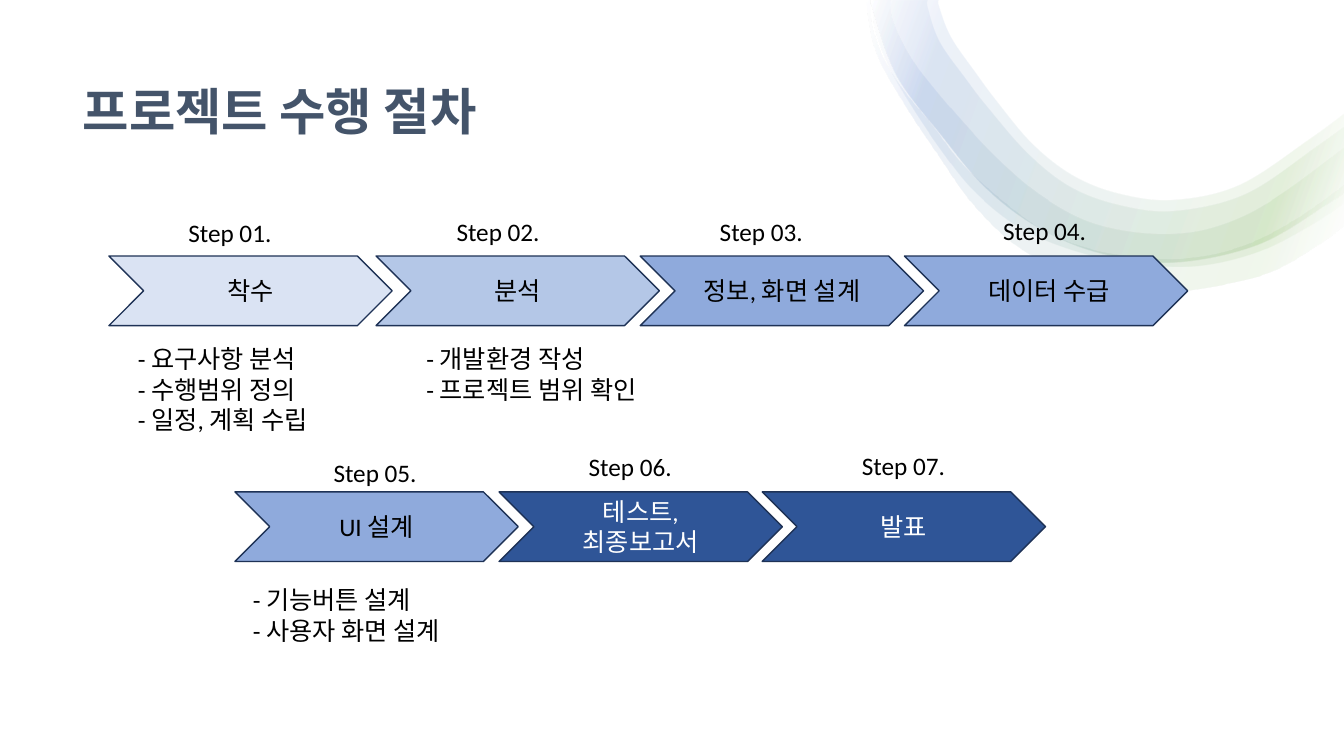
from lxml.etree import SubElement
from pptx import Presentation
from pptx.dml.color import RGBColor
from pptx.enum.shapes import MSO_SHAPE
from pptx.enum.text import MSO_ANCHOR, PP_ALIGN
from pptx.oxml.ns import qn
from pptx.util import Inches, Pt

FONT = "Calibri"
COLORS = {
    "title": "44546A", "black": "000000", "white": "FFFFFF", "edge": "1E3256",
    "pale": "DAE3F3", "light": "B4C7E7", "mid": "8FAADC", "deep": "2F5597",
    "green": "70AD47", "blue": "4472C4",
}
FADE = [(2, "white"), (16, "green"), (85, "blue"), (100, "white")]

# Step rows: top of the arrows, then text, fill, font colour,
# arrow left, label left and label top
ROWS = [
    (2.54, [
        ("착수", "pale", "black", 1.08, 1.77, 2.11),
        ("분석", "light", "black", 3.73, 4.43, 2.1),
        ("정보, 화면 설계", "mid", "black", 6.35, 7.04, 2.1),
        (" 데이터 수급", "mid", "black", 8.97, 9.85, 2.09),
    ]),
    (4.88, [
        ("UI 설계", "mid", "black", 2.33, 3.21, 4.49),
        ("테스트, 최종보고서", "deep", "white", 4.95, 5.74, 4.43),
        ("발표", "deep", "white", 7.56, 8.45, 4.42),
    ]),
]
NOTES = [
    ("- 요구사항 분석\n- 수행범위 정의\n- 일정, 계획 수립", 1.27, 3.36, 2.03, 1.01),
    ("- 개발환경 작성\n- 프로젝트 범위 확인", 4.13, 3.36, 2.47, 0.71),
    ("- 기능버튼 설계\n- 사용자 화면 설계", 2.41, 5.75, 2.22, 0.71),
]

# Each ribbon lies between an outer and an inner edge
CORE = [(8.65, 0), (8.65, 0.08), (8.89, 0.75), (9.34, 1.35), (9.78, 1.87),
        (10.3, 2.26), (10.91, 2.51), (11.64, 2.6), (12.48, 2.42),
        (13.19, 2), (13.33, 1.9)]
RIBBONS = [
    ([(8.6, 0), (8.61, 0.14), (8.71, 0.56), (8.99, 1.06), (9.31, 1.54),
      (9.65, 2.02), (10.09, 2.44), (10.65, 2.73), (11.27, 2.87), (11.7, 2.89),
      (12.53, 2.72), (13.08, 2.42), (13.33, 2.23)],
     [(8.64, 0), (8.66, 0.27), (8.78, 0.6), (8.97, 0.9), (9.25, 1.24),
      (9.61, 1.69), (10.25, 2.22), (10.76, 2.45), (11.3, 2.55), (11.86, 2.55),
      (12.39, 2.41), (12.88, 2.15), (13.33, 1.83)]),
    ([(8.65, 0), (8.67, 0.27), (8.8, 0.64), (9.01, 1.01), (9.31, 1.46),
      (9.66, 1.9), (10.13, 2.27), (10.69, 2.5), (11.27, 2.62), (11.87, 2.64),
      (12.47, 2.5), (13, 2.23), (13.33, 2.01)],
     [(8.83, 0), (8.85, 0.2), (9.01, 0.54), (9.24, 0.85), (9.6, 1.27),
      (9.96, 1.64), (10.35, 1.96), (10.8, 2.2), (11.31, 2.31), (11.83, 2.3),
      (12.31, 2.15), (12.75, 1.89), (13.33, 1.46)]),
    (CORE,
     [(9.2, 0), (9.2, 0.08), (9.32, 0.42), (9.59, 0.8), (9.79, 1.06),
      (10.19, 1.52), (10.61, 1.85), (11.09, 2.03), (11.64, 2.09),
      (12.35, 1.92), (13.05, 1.45), (13.33, 1.25)]),
    (CORE,
     [(9.31, 0), (9.31, 0.06), (9.43, 0.37), (9.68, 0.73), (9.88, 1),
      (10.24, 1.43), (10.64, 1.74), (11.1, 1.92), (11.64, 1.98),
      (12.29, 1.83), (12.99, 1.37), (13.33, 1.12)]),
]


def color(name):
    return RGBColor.from_string(COLORS[name])


def style(frame, size=18, tint="black", bold=False, align=PP_ALIGN.LEFT):
    for para in frame.paragraphs:
        para.alignment = align
        for run in para.runs:
            run.font.name = FONT
            run.font.size = Pt(size)
            run.font.bold = bold
            run.font.color.rgb = color(tint)
            props = run.font._element
            props.set("lang", "ko-KR")
            SubElement(props, qn("a:ea"), typeface=FONT)


def bend(shape, corner):
    """Turn the straight sides into curves, except the one at the corner."""
    points = [(int(pt.get("x")), int(pt.get("y")))
              for pt in shape._element.iter(qn("a:pt"))]
    sides = list(shape._element.iter(qn("a:lnTo")))
    for i, side in enumerate(sides, 1):
        if i == corner:
            continue
        low, high = (0, corner - 1) if i < corner else (corner, len(points) - 1)
        a, b = points[max(i - 2, low)], points[i - 1]
        c, d = points[i], points[min(i + 1, high)]
        side.tag = qn("a:cubicBezTo")
        side.remove(side[0])
        pulls = [[q + (r - p) / 6 for p, q, r in zip(a, b, c)],
                 [r - (s - q) / 6 for q, r, s in zip(b, c, d)], c]
        for x, y in pulls:
            SubElement(side, qn("a:pt"), x=str(round(x)), y=str(round(y)))


def fade(shape):
    """Fill with a gradient whose stops are 10% opaque."""
    shape.fill.gradient()
    grad = shape.fill._fill._gradFill
    for child in list(grad):
        grad.remove(child)
    stops = SubElement(grad, qn("a:gsLst"))
    for place, name in FADE:
        stop = SubElement(stops, qn("a:gs"), pos=str(place * 1000))
        tint = SubElement(stop, qn("a:srgbClr"), val=COLORS[name])
        SubElement(tint, qn("a:alpha"), val="10000")
    SubElement(grad, qn("a:lin"), ang=str(200 * 60000), scaled="0")


def ribbon(shapes, outer, inner):
    points = [(x * 1000, y * 1000) for x, y in outer + inner[::-1]]
    form = shapes.build_freeform(*points[0], scale=Inches(1) / 1000)
    form.add_line_segments(points[1:], close=True)
    shape = form.convert_to_shape()
    shape.shadow.inherit = False
    shape.line.fill.background()
    bend(shape, len(outer))
    fade(shape)


def block(slide, kind, fill, left, top, width, height):
    shape = slide.shapes.add_shape(kind, Inches(left), Inches(top),
                                   Inches(width), Inches(height))
    shape.shadow.inherit = False
    shape.fill.solid()
    shape.fill.fore_color.rgb = color(fill)
    shape.line.fill.background()
    return shape


def arrow(slide, text, fill, tint, left, top):
    shape = block(slide, MSO_SHAPE.CHEVRON, fill, left, top, 2.81, 0.69)
    shape.line.color.rgb = color("edge")
    shape.line.width = Pt(1)
    frame = shape.text_frame
    frame.text = text
    frame.vertical_anchor = MSO_ANCHOR.MIDDLE
    style(frame, tint=tint, align=PP_ALIGN.CENTER)


def note(slide, text, left, top, width, height):
    box = slide.shapes.add_textbox(Inches(left), Inches(top),
                                   Inches(width), Inches(height))
    frame = box.text_frame
    frame.word_wrap = True
    frame.text = text
    style(frame)


def head(slide, text):
    title = slide.shapes.title
    title.left, title.top = Inches(0.72), Inches(0.28)
    title.width, title.height = Inches(10.75), Inches(1.17)
    frame = title.text_frame
    frame.text = text
    frame.vertical_anchor = MSO_ANCHOR.BOTTOM
    frame.paragraphs[0].line_spacing = 0.9
    style(frame, 36, "title", True)


def main():
    deck = Presentation()
    deck.slide_width, deck.slide_height = Inches(13.33), Inches(7.5)
    slide = deck.slides.add_slide(deck.slide_layouts[5])

    # Backdrop and corner ribbons
    block(slide, MSO_SHAPE.RECTANGLE, "white", 0, 0, 13.33, 7.5)
    group = slide.shapes.add_group_shape()
    for outer, inner in RIBBONS:
        ribbon(group.shapes, outer, inner)

    # Title, brought in front of the backdrop
    head(slide, "프로젝트 수행 절차")
    slide.shapes._spTree.append(slide.shapes.title._element)

    # Steps with their labels
    count = 0
    for top, steps in ROWS:
        for text, fill, tint, left, label_x, label_y in steps:
            count += 1
            arrow(slide, text, fill, tint, left, top)
            note(slide, f"Step {count:02}.", label_x, label_y, 1.04, 0.4)

    # Details under the steps
    for item in NOTES:
        note(slide, *item)

    deck.save("out.pptx")


if __name__ == "__main__":
    main()
